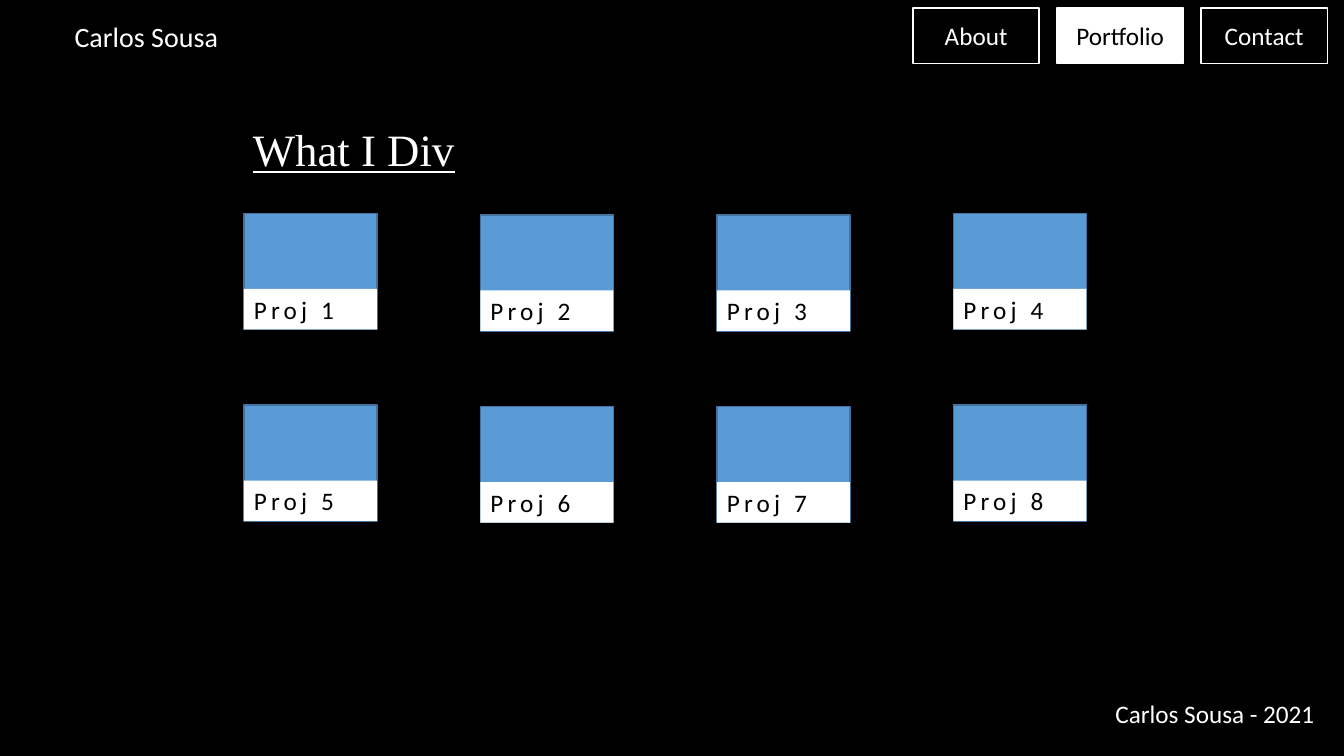
"""Build a portfolio slide with navigation, a grid of projects and a footer."""
from pptx import Presentation, util as u
from pptx.dml.color import RGBColor
from pptx.enum import shapes, text

BLACK, WHITE, BLUE, EDGE = "000000", "FFFFFF", "5B9BD5", "43739E"


def paint(fmt, color):
    if hasattr(fmt, "solid"):
        fmt.solid()
        fmt = fmt.fore_color
    fmt.rgb = RGBColor.from_string(color)


def write(sp, content, size=18, color=WHITE, font="Calibri", underline=None,
          spacing=None, align="LEFT", anchor="TOP", wrap=True):
    tf = sp.text_frame
    tf.auto_size = text.MSO_AUTO_SIZE.NONE
    tf.word_wrap = wrap
    tf.vertical_anchor = getattr(text.MSO_ANCHOR, anchor)
    p = tf.paragraphs[0]
    p.alignment = getattr(text.PP_ALIGN, align)
    r = p.add_run()
    r.text = content
    r.font.size = u.Pt(size)
    r.font.name = font
    r.font.underline = underline
    paint(r.font.color, color)
    if spacing:
        r._r.get_or_add_rPr().set("spc", str(spacing * 100))


class Deck:
    def __init__(self):
        self.prs = Presentation()
        self.prs.slide_width, self.prs.slide_height = u.Cm(33.87), u.Cm(19.05)
        self.s = self.prs.slides.add_slide(self.prs.slide_layouts[5])
        paint(self.s.background.fill, BLACK)

    def group(self):
        return self.s.shapes.add_group_shape().shapes

    def title(self, content, box, **style):
        sp = self.s.shapes.title
        sp.left, sp.top, sp.width, sp.height = map(u.Cm, box)
        write(sp, content, **style)

    def label(self, content, box, parent=None, **style):
        parent = parent or self.s.shapes
        write(parent.add_textbox(*map(u.Cm, box)), content, **style)

    def rect(self, parent, box, fill, line=None):
        sp = parent.add_shape(shapes.MSO_SHAPE.RECTANGLE, *map(u.Cm, box))
        sp.shadow.inherit = False
        paint(sp.fill, fill)
        if line:
            paint(sp.line.fill, line)
            sp.line.width = u.Pt(1)
        else:
            sp.line.fill.background()
        return sp

    def project(self, name, left, top):
        card = self.group()
        self.rect(card, (left, top, 3.35, 2.92), BLUE, EDGE)
        caption = self.rect(card, (left, top + 1.9, 3.35, 1.02), WHITE)
        write(caption, name, color=BLACK, spacing=3)

    def navigation(self, owner, pages, active):
        bar = self.group()
        for i, page in enumerate(pages):
            fill, ink = (WHITE, BLACK) if page == active else (BLACK, WHITE)
            button = self.rect(bar, (23.01 + 3.63 * i, 0.2, 3.18, 1.4), fill, WHITE)
            write(button, page, color=ink, align="CENTER", anchor="MIDDLE")
        self.label(owner, (1.63, 0.36, 4.52, 1.12), bar, size=20)


def main():
    deck = Deck()
    deck.title("What I Div", (6.12, 2.95, 5.64, 1.63), size=32,
               font="Times New Roman", underline=True, wrap=False)
    for i in range(8):
        row, col = divmod(i, 4)
        drop = 0.04 if col in (1, 2) else 0
        deck.project(f"Proj {i + 1}", 6.15 + 5.96 * col, 5.38 + 4.83 * row + drop)
    deck.navigation("Carlos Sousa", ["About", "Portfolio", "Contact"], "Portfolio")
    deck.label("Carlos Sousa - 2021", (27.86, 17.48, 5.59, 1.02), wrap=False)
    deck.prs.save("out.pptx")


if __name__ == "__main__":
    main()
